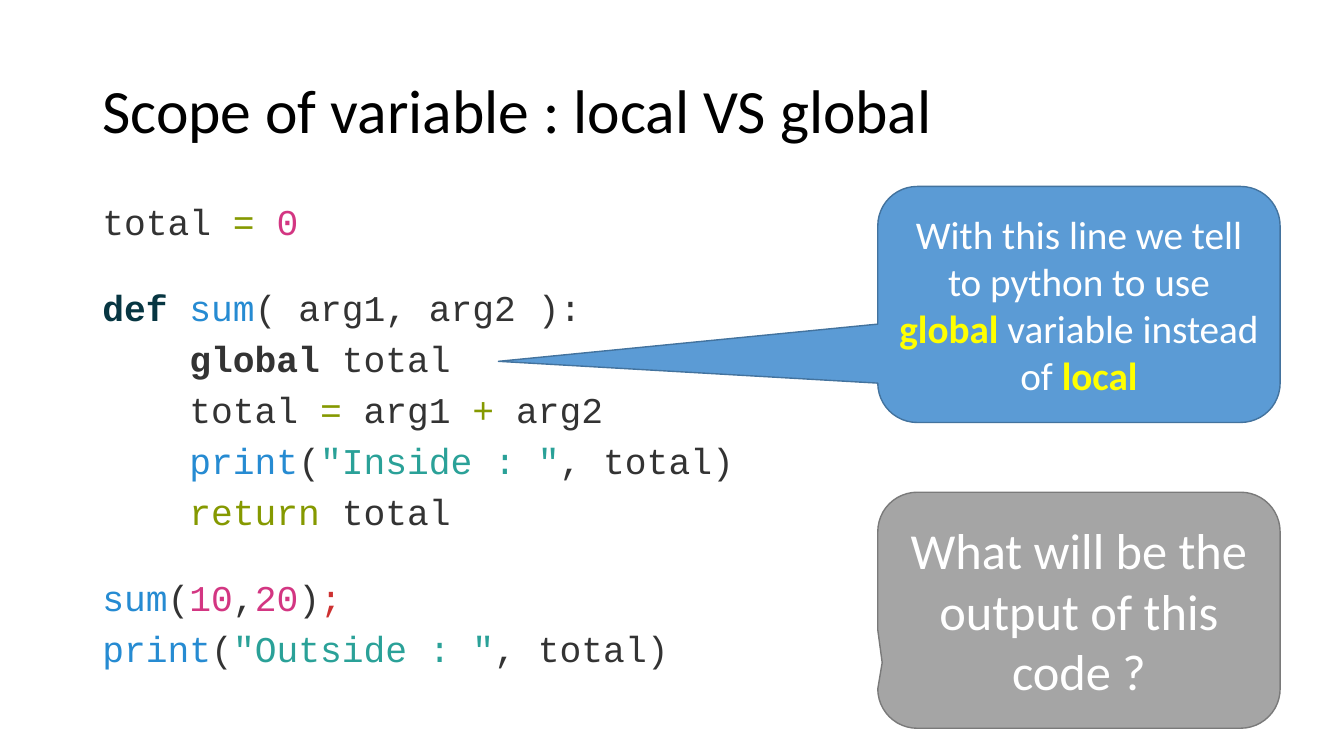
import pptx
import pptx.dml.color
import pptx.enum.shapes
import pptx.enum.text
import pptx.util

COLORS = {
    "black": "000000", "white": "FFFFFF", "yellow": "FFFF00",
    "text": "333333", "keyword": "073642", "name": "268BD2",
    "operator": "859900", "number": "D33682", "string": "2AA198",
    "error": "CD3131",
    "blue": "5B9BD5", "blue_line": "43739E",
    "grey": "A5A5A5", "grey_line": "7A7A7A",
}
COLS, ROWS = 160, 90
CODE_SIZE = 25.9
TAB = 4 * 0.6 * CODE_SIZE  # four monospaced characters, in points
BLANK_LINE = 24.6


def rgb(name):
    return pptx.dml.color.RGBColor.from_string(COLORS[name])


class SlideBuilder:
    """Holds the style and the current slide; boxes are (col, row, cols, rows)."""

    def __init__(self, prs):
        self.cell_w = prs.slide_width / COLS
        self.cell_h = prs.slide_height / ROWS
        self.s = prs.slides.add_slide(prs.slide_layouts[6])

    def place(self, box):
        units = (self.cell_w, self.cell_h) * 2
        return [round(n * unit) for n, unit in zip(box, units)]

    def paragraph(self, p, runs, font, size, fmt):
        """Fill a paragraph with (text, colour, bold) runs."""
        for key, value in fmt.items():
            setattr(p, key, value)
        for text, color, *bold in runs:
            r = p.add_run()
            r.text = text
            values = {"name": font, "size": pptx.util.Pt(size), "bold": bool(bold)}
            for key, value in values.items():
                setattr(r.font, key, value)
            r.font.color.rgb = rgb(color)

    def text_box(self, box, anchor):
        tf = self.s.shapes.add_textbox(*self.place(box)).text_frame
        tf.word_wrap = True
        tf.vertical_anchor = anchor
        return tf

    def title(self, box, text):
        tf = self.text_box(box, pptx.enum.text.MSO_ANCHOR.MIDDLE)
        self.paragraph(tf.paragraphs[0], [(text, "black")], "Calibri", 44,
                       {"line_spacing": 0.9})

    def code(self, box, lines):
        """Each line is (indent level, blank lines before, runs)."""
        tf = self.text_box(box, pptx.enum.text.MSO_ANCHOR.TOP)
        for i, (level, blanks, runs) in enumerate(lines):
            p = tf.add_paragraph() if i else tf.paragraphs[0]
            gap = 10.4 + blanks * BLANK_LINE
            fmt = {"line_spacing": 0.84, "space_before": pptx.util.Pt(gap)}
            self.paragraph(p, runs, "Courier New", CODE_SIZE, fmt)
            p._p.get_or_add_pPr().set("marL", str(pptx.util.Pt(level * TAB)))

    def callout(self, box, tip, fill, size, runs):
        sp = self.s.shapes.add_shape(
            pptx.enum.shapes.MSO_SHAPE.ROUNDED_RECTANGULAR_CALLOUT, *self.place(box))
        sp.shadow.inherit = False
        for i, value in enumerate((*tip, 0.167)):
            sp.adjustments[i] = value
        sp.fill.solid()
        sp.fill.fore_color.rgb = rgb(fill)
        sp.line.color.rgb = rgb(fill + "_line")
        sp.line.width = pptx.util.Pt(1)
        tf = sp.text_frame
        tf.word_wrap = True
        tf.vertical_anchor = pptx.enum.text.MSO_ANCHOR.MIDDLE
        self.paragraph(tf.paragraphs[0], runs, "Calibri", size,
                       {"alignment": pptx.enum.text.PP_ALIGN.CENTER})


def main():
    prs = pptx.Presentation()
    prs.slide_width = pptx.util.Inches(13.33)
    prs.slide_height = pptx.util.Inches(7.5)
    slide = SlideBuilder(prs)

    # Title
    slide.title((11, 4.8, 138, 17.4), "Scope of variable : local VS global")

    # Code listing
    slide.code((11, 24, 78.2, 57.1), [
        (0, 0, [("total ", "text"), ("= ", "operator"), ("0", "number")]),
        (0, 1, [("def ", "keyword", True), ("sum", "name"),
                ("( arg1, arg2 ):", "text")]),
        (1, 0, [("global", "text", True), (" total", "text")]),
        (1, 0, [("total ", "text"), ("=", "operator"), (" arg1 ", "text"),
                ("+", "operator"), (" arg2", "text")]),
        (1, 0, [("print", "name"), ("(", "text"), ('"Inside : "', "string"),
                (", total)", "text")]),
        (1, 0, [("return", "operator"), (" total", "text")]),
        (0, 1, [("sum", "name"), ("(", "text"), ("10", "number"), (",", "text"),
                ("20", "number"), (")", "text"), (";", "error")]),
        (0, 0, [("print", "name"), ("(", "text"), ('"Outside : "', "string"),
                (", total)", "text")]),
    ])

    # Callouts
    slide.callout((104.5, 58.6, 47.9, 28.1), (-0.489, 0.222), "grey", 36,
                  [("What will be the output of this code ?", "white")])
    slide.callout((104.5, 22.2, 47.9, 28.1), (-1.443, 0.241), "blue", 28, [
        ("With this line we tell to python to use ", "white"),
        ("global", "yellow", True),
        (" variable instead of ", "white"),
        ("local", "yellow", True),
    ])

    prs.save("out.pptx")


if __name__ == "__main__":
    main()
